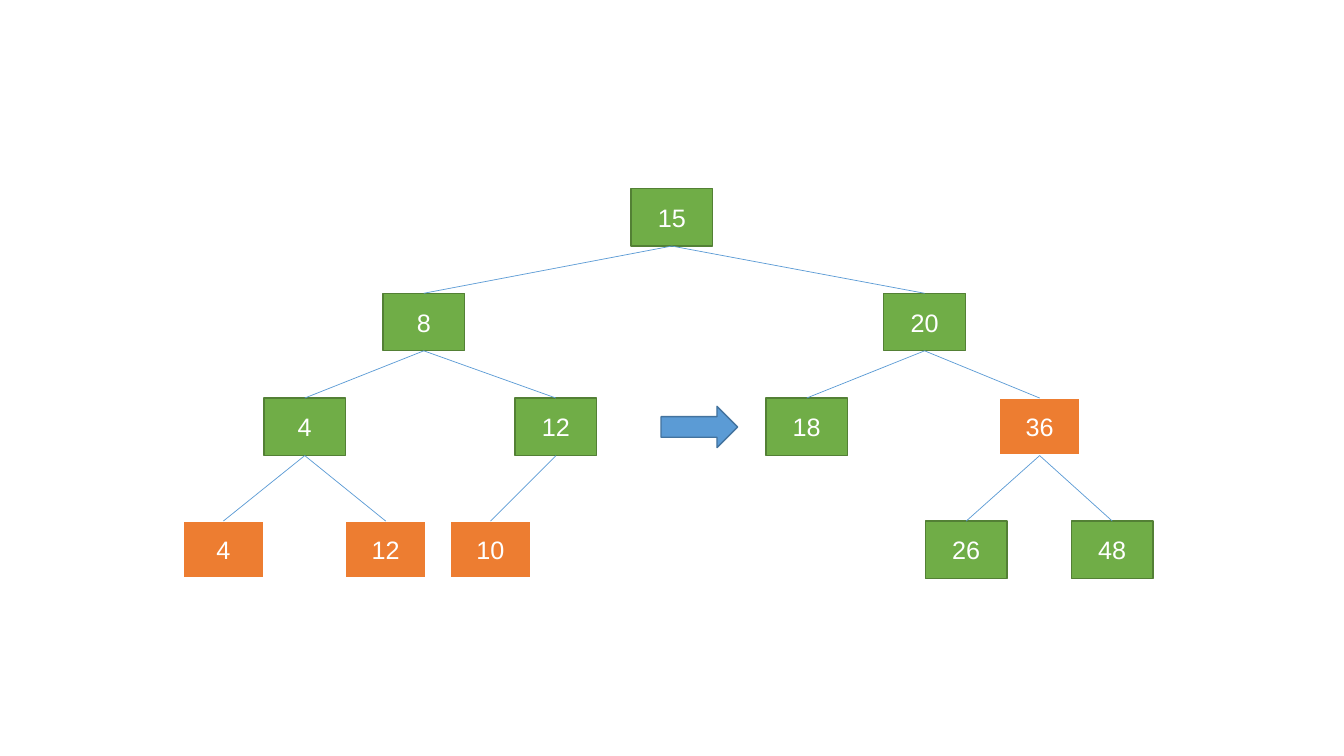
"""Build a slide with a binary search tree and its highlighted nodes."""
from lxml import etree
from pptx import Presentation
from pptx.dml.color import RGBColor
from pptx.enum.shapes import MSO_CONNECTOR, MSO_SHAPE
from pptx.enum.text import MSO_ANCHOR, PP_ALIGN
from pptx.oxml.ns import qn
from pptx.util import Cm, Pt

RECT, ARROW = MSO_SHAPE.RECTANGLE, MSO_SHAPE.RIGHT_ARROW
STRAIGHT = MSO_CONNECTOR.STRAIGHT
MIDDLE, CENTER = MSO_ANCHOR.MIDDLE, PP_ALIGN.CENTER

WHITE = RGBColor(0xFF, 0xFF, 0xFF)
GREEN = RGBColor(0x70, 0xAD, 0x47)
DARK_GREEN = RGBColor(0x53, 0x80, 0x35)
ORANGE = RGBColor(0xED, 0x7D, 0x31)
BLUE = RGBColor(0x5B, 0x9B, 0xD5)
DARK_BLUE = RGBColor(0x43, 0x73, 0x9E)

PLAIN = (GREEN, DARK_GREEN, 1)
MARKED = (ORANGE, WHITE, 1.5)
POINTER = (BLUE, DARK_BLUE, 1)

NODE_W, NODE_H = 2.06, 1.45
LEVEL_TOPS = (4.75, 7.39, 10.03, 13.13)
TOP_SITE, BOTTOM_SITE = 0, 2

TREE = ("15", 16.93, PLAIN, [
    ("8", 10.68, PLAIN, [
        ("4", 7.68, PLAIN, [
            ("4", 5.63, MARKED, []),
            ("12", 9.72, MARKED, []),
        ]),
        ("12", 14.01, PLAIN, [("10", 12.36, MARKED, [])]),
    ]),
    ("20", 23.30, PLAIN, [
        ("18", 20.33, PLAIN, []),
        ("36", 26.20, MARKED, [
            ("26", 24.35, PLAIN, []),
            ("48", 28.03, PLAIN, []),
        ]),
    ]),
])


class TreeSlide:
    """Holds the style and the current slide."""

    font = {"name": "Arial", "size": Pt(18)}
    frame = {"word_wrap": True, "vertical_anchor": MIDDLE,
             "margin_left": Cm(0.25), "margin_right": Cm(0.25),
             "margin_top": Cm(0.25), "margin_bottom": Cm(0.25)}

    def __init__(self, slide):
        self.s = slide

    @staticmethod
    def apply(target, values):
        for name, value in values.items():
            setattr(target, name, value)

    def shape(self, kind, box, look):
        fill, line, width = look
        sp = self.s.shapes.add_shape(kind, *map(Cm, box))
        sp.shadow.inherit = False
        sp.fill.solid()
        sp.fill.fore_color.rgb = fill
        sp.line.color.rgb = line
        sp.line.width = Pt(width)
        return sp

    def node(self, key, center, level, look):
        box = (center - NODE_W / 2, LEVEL_TOPS[level], NODE_W, NODE_H)
        sp = self.shape(RECT, box, look)
        tf = sp.text_frame
        self.apply(tf, self.frame)
        p = tf.paragraphs[0]
        p.alignment = CENTER
        r = p.add_run()
        r.text = key
        self.apply(r.font, self.font)
        r.font.color.rgb = WHITE
        return sp

    def edge(self, parent, child):
        cx = self.s.shapes.add_connector(STRAIGHT, 0, 0, 0, 0)
        cx.begin_connect(parent, BOTTOM_SITE)
        cx.end_connect(child, TOP_SITE)
        cx.line.color.rgb = BLUE
        cx.line.width = Pt(0.5)
        etree.SubElement(cx._element.spPr, qn("a:effectLst"))

    def tree(self, branch, level=0):
        key, center, look, children = branch
        parent = self.node(key, center, level, look)
        for child in children:
            self.edge(parent, self.tree(child, level + 1))
        return parent


prs = Presentation()
prs.slide_width, prs.slide_height = Cm(33.87), Cm(19.05)
page = TreeSlide(prs.slides.add_slide(prs.slide_layouts[6]))
page.tree(TREE)
page.shape(ARROW, (16.66, 10.24, 1.93, 1.04), POINTER)
prs.save("out.pptx")
